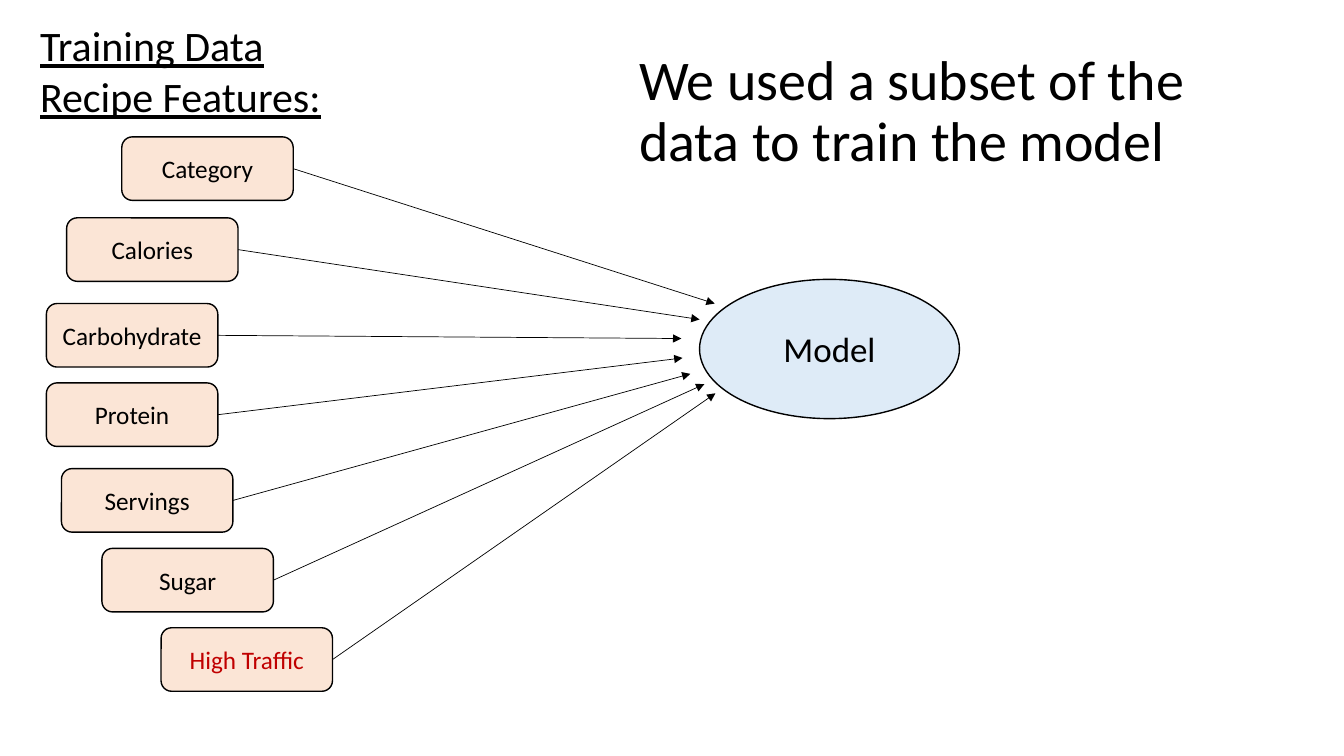
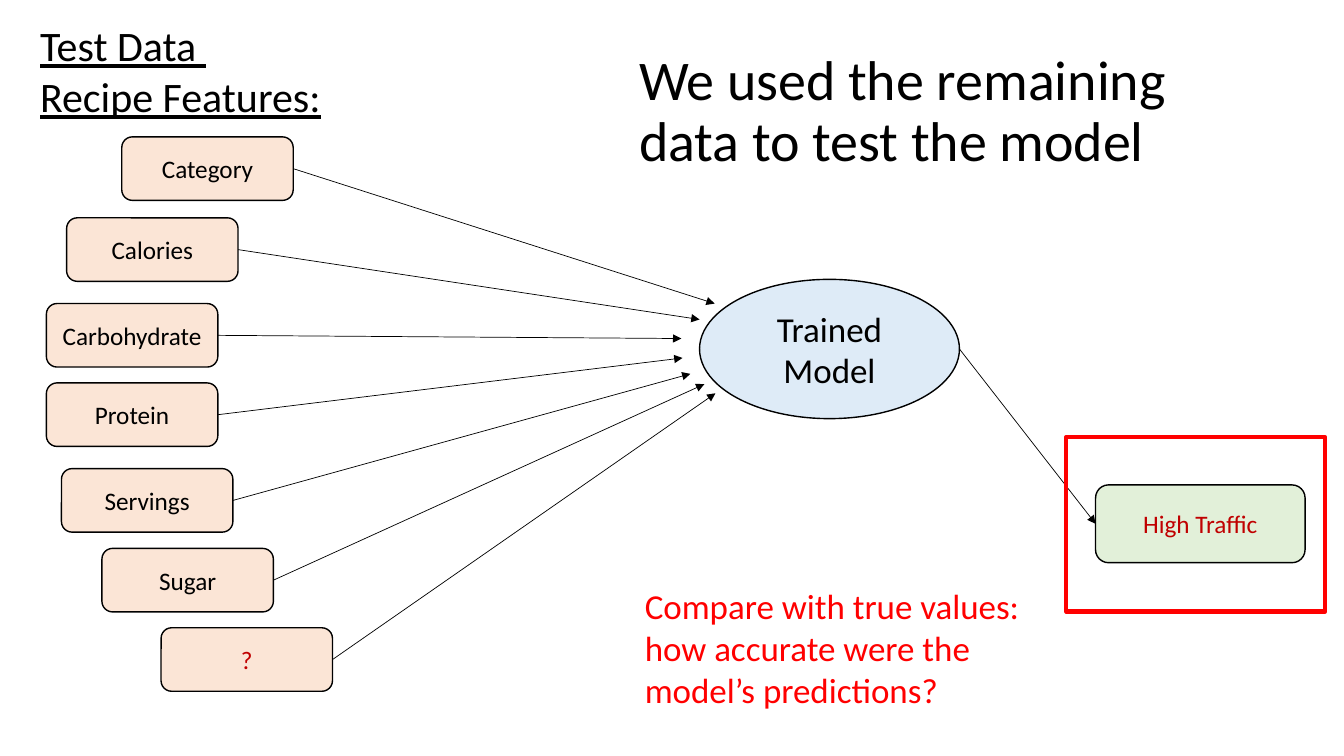
from pptx import Presentation
from pptx.dml.color import RGBColor
from pptx.enum.shapes import MSO_CONNECTOR, MSO_SHAPE
from pptx.enum.text import MSO_ANCHOR, MSO_AUTO_SIZE, PP_ALIGN
from pptx.oxml.ns import qn
from pptx.util import Cm, Pt
from lxml import etree

LEFT, CENTER = PP_ALIGN.LEFT, PP_ALIGN.CENTER
TOP, MIDDLE = MSO_ANCHOR.TOP, MSO_ANCHOR.MIDDLE
ROUNDED, OVAL, RECT = MSO_SHAPE.ROUNDED_RECTANGLE, MSO_SHAPE.OVAL, MSO_SHAPE.RECTANGLE
STRAIGHT = MSO_CONNECTOR.STRAIGHT
NO_AUTOFIT = MSO_AUTO_SIZE.NONE
LEFT_SIDE, RIGHT_SIDE = 1, 3

FONT = "Calibri"
BLACK, DARK_RED, RED = "000000", "C00000", "FF0000"
PEACH, PALE_BLUE, PALE_GREEN = "FBE5D6", "DEEBF7", "E2F0D9"

# All lengths are centimetres: left, top, width, height
TITLE_BOX = (15.85, 1.14, 14.61, 3.4)
HEADING_BOX = (0.76, 0.38, 7.92, 2.82)
MODEL_BOX = (17.63, 7.04, 6.55, 3.51)
RESULT_BOX = (27.61, 12.22, 5.28, 1.96)
FRAME_BOX = (26.87, 11.02, 6.53, 4.39)
QUESTION_BOX = (16, 14.6, 10.85, 3.45)
FEATURE_SIZE = (4.32, 1.6)

# Feature, left and top of its box, tip of its arrow
FEATURES = [
    ("Category", (3.07, 3.45), (18.01, 7.65)),
    ("Calories", (1.68, 5.49), (17.63, 8.05)),
    ("Carbohydrate", (1.17, 7.65), (17.17, 8.53)),
    ("Protein", (1.17, 9.65), (17.2, 9.02)),
    ("Servings", (1.55, 11.81), (17.4, 9.42)),
    ("Sugar", (2.57, 13.82), (17.75, 9.68)),
]
TARGET_PLACE = ((4.06, 15.82), (18.03, 9.91))

SLIDES = [
    {"title": "We used a subset of the data to train the model",
     "heading": "Training Data Recipe Features:",
     "model": "Model", "target": "High Traffic"},
    {"title": "We used the remaining data to test the model",
     "heading": "Test Data \nRecipe Features:",
     "model": "Trained\nModel", "target": "?",
     "result": "High Traffic",
     "question": "Compare with true values: how accurate were the model’s predictions?"},
]


def rgb(color):
    return RGBColor.from_string(color)


def cm(values):
    return [Cm(v) for v in values]


def write(sp, text, size, color=BLACK, align=LEFT, anchor=TOP, spacing=None, underline=None):
    tf = sp.text_frame
    tf.text = text
    frame_format = {"word_wrap": True, "auto_size": NO_AUTOFIT, "vertical_anchor": anchor}
    for name, value in frame_format.items():
        setattr(tf, name, value)
    font_format = {"name": FONT, "size": Pt(size), "underline": underline}
    for p in tf.paragraphs:
        p.alignment = align
        p.line_spacing = spacing
        for r in p.runs:
            for name, value in font_format.items():
                setattr(r.font, name, value)
            r.font.color.rgb = rgb(color)


def add_text(slide, box, text, size, **style):
    write(slide.shapes.add_textbox(*cm(box)), text, size, **style)


def add_box(slide, kind, box, fill=None, line=BLACK, width=1):
    sp = slide.shapes.add_shape(kind, *cm(box))
    sp.shadow.inherit = False
    if fill:
        sp.fill.solid()
        sp.fill.fore_color.rgb = rgb(fill)
    else:
        sp.fill.background()
    sp.line.color.rgb = rgb(line)
    sp.line.width = Pt(width)
    return sp


def add_label(slide, kind, box, fill, text, size=18, color=BLACK):
    """Add a filled shape with centred text."""
    sp = add_box(slide, kind, box, fill)
    write(sp, text, size, color, CENTER, MIDDLE)
    return sp


def add_arrow(slide, start, end):
    line = slide.shapes.add_connector(STRAIGHT, *start, *end)
    line.line.color.rgb = rgb(BLACK)
    line.line.width = Pt(0.5)
    sp_pr = line._element.spPr
    etree.SubElement(sp_pr.find(qn("a:ln")), qn("a:tailEnd"), type="triangle")
    etree.SubElement(sp_pr, qn("a:effectLst"))
    return line


def add_feature(slide, text, place, tip, color=BLACK):
    sp = add_label(slide, ROUNDED, place + FEATURE_SIZE, PEACH, text, color=color)
    arrow = add_arrow(slide, cm(place), cm(tip))
    arrow.begin_connect(sp, RIGHT_SIDE)


def add_result(slide, model, text):
    """Add the framed prediction and the arrow from the model to it."""
    sp = add_label(slide, ROUNDED, RESULT_BOX, PALE_GREEN, text, color=DARK_RED)
    start = (model.left + model.width, model.top + model.height // 2)
    arrow = add_arrow(slide, start, (sp.left, sp.top))
    arrow.end_connect(sp, LEFT_SIDE)
    add_box(slide, RECT, FRAME_BOX, line=RED, width=3)


def build_slide(prs, content):
    slide = prs.slides.add_slide(prs.slide_layouts[5])
    title = slide.shapes.title
    title.left, title.top, title.width, title.height = cm(TITLE_BOX)
    write(title, content["title"], 40, anchor=MIDDLE, spacing=0.9)
    add_text(slide, HEADING_BOX, content["heading"], 30, underline=True)

    for feature in FEATURES:
        add_feature(slide, *feature)
    add_feature(slide, content["target"], *TARGET_PLACE, color=DARK_RED)
    model = add_label(slide, OVAL, MODEL_BOX, PALE_BLUE, content["model"], 25)

    if "result" in content:
        add_result(slide, model, content["result"])
        add_text(slide, QUESTION_BOX, content["question"], 25, color=RED)


def main():
    prs = Presentation()
    prs.slide_width, prs.slide_height = Cm(33.87), Cm(19.05)
    for content in SLIDES:
        build_slide(prs, content)
    prs.save("out.pptx")


if __name__ == "__main__":
    main()
